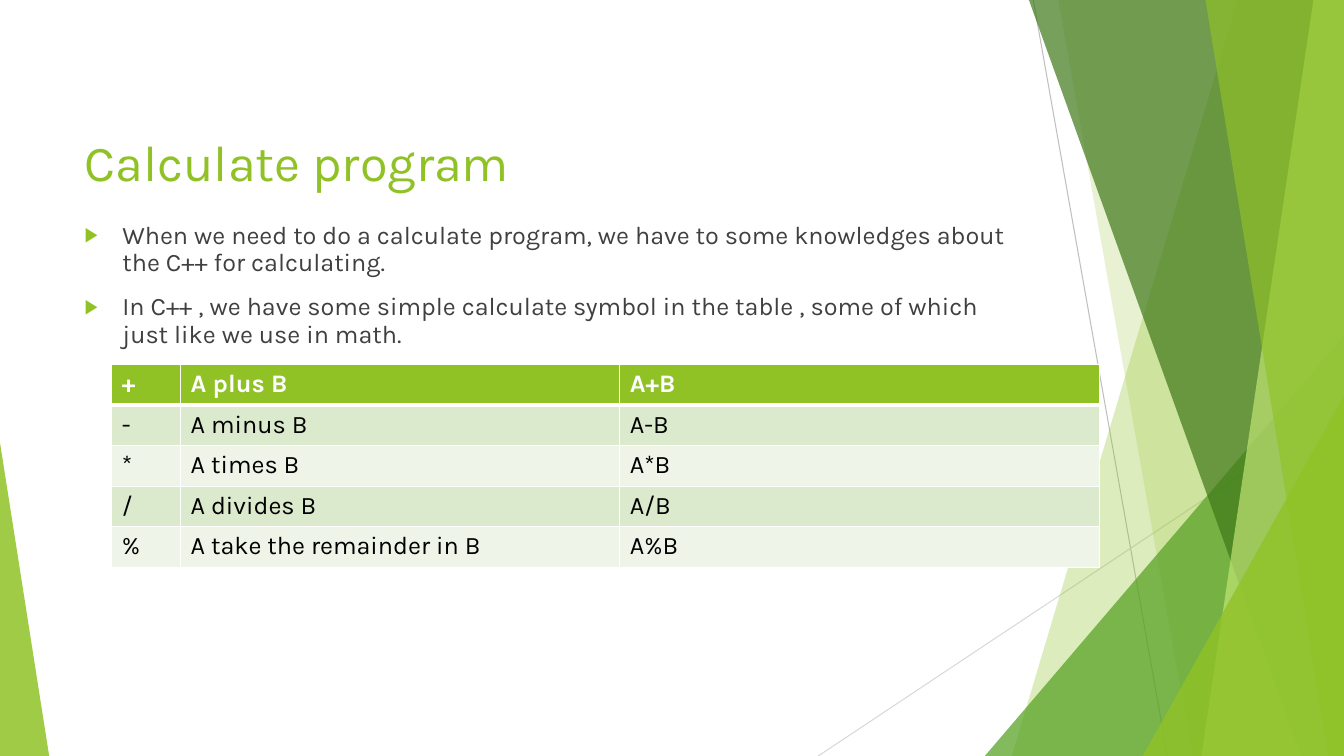
from lxml import etree
from pptx import Presentation
from pptx.dml.color import RGBColor
from pptx.enum.shapes import MSO_CONNECTOR as Connector, MSO_SHAPE as Shape
from pptx.enum.text import MSO_ANCHOR as Anchor, MSO_AUTO_SIZE as AutoSize, PP_ALIGN as Align
from pptx.oxml.ns import qn
from pptx.util import Cm, Pt

# Content
TITLE = "Calculate program"
POINTS = [
    "When we need to do a calculate program, we have to some knowledges about the C++ for calculating.",
    "In C++ , we have some simple calculate symbol in the table , some of which just like we use in math.",
]
OPERATORS = [
    ("+", "A plus B", "A+B"),
    ("-", "A minus B", "A-B"),
    ("*", "A times B", "A*B"),
    ("/", "A divides B", "A/B"),
    ("%", "A take the remainder in B", "A%B"),
]

# Look and measures in centimetres
FONT, GREEN, WHITE = "Karla", "90C226", "FFFFFF"
BANDS = ["EEF4E8", "DBE9CD"]
WIDTH, HEIGHT = 33.87, 19.05
COLUMNS, ROW = [1.73, 11.07, 12.09], 1.02

# Thin lines: start, end, colour
LINES = [
    ((26.04, 0), (29.42, HEIGHT), "BFBFBF"),
    ((WIDTH, 10.24), (20.62, HEIGHT), "D9D9D9"),
]
# Facets reach the right edge: kind, x at top and at foot (slab)
# or left and top (corner), colour, opacity in percent
FACETS = [
    ("slab", 31.19, 25.5, GREEN, 30),
    ("slab", 26.67, 30.05, GREEN, 20),
    ("corner", 24.82, 8.46, "54A021", 72),
    ("slab", 25.93, 32.79, "3F7819", 70),
    ("slab", 33.1, 30.28, "C0E474", 70),
    ("slab", 30.38, 33.48, GREEN, 65),
    ("corner", 28.8, 9.98, GREEN, 80),
]


def color(code):
    return RGBColor.from_string(code)


def add(parent, tag, **attributes):
    return etree.SubElement(parent, qn(tag), attributes)


def paint(shape, code, opacity):
    shape.shadow.inherit = False
    shape.fill.solid()
    shape.fill.fore_color.rgb = color(code)
    tint = shape.fill._xPr.find(".//" + qn("a:srgbClr"))
    add(tint, "a:alpha", val=str(opacity * 1000))
    shape.line.fill.background()


def style(para, size, code, bold=False):
    para.font.name, para.font.size, para.font.bold = FONT, Pt(size), bold
    para.font.color.rgb = color(code)


def triangle(left, top, width, apex, code, opacity):
    shape = page.shapes.add_shape(
        Shape.ISOSCELES_TRIANGLE, Cm(left), Cm(top), Cm(width), Cm(HEIGHT - top))
    shape.adjustments[0] = apex
    paint(shape, code, opacity)


def slab(top_x, foot_x, code, opacity):
    builder = page.shapes.build_freeform(Cm(top_x), 0)
    corners = [(WIDTH, 0), (WIDTH, HEIGHT), (foot_x, HEIGHT)]
    builder.add_line_segments([(Cm(x), Cm(y)) for x, y in corners])
    paint(builder.convert_to_shape(), code, opacity)


def place(box, top, height, anchor):
    box.left, box.top, box.width, box.height = Cm(1.88), Cm(top), Cm(23.88), Cm(height)
    frame = box.text_frame
    frame.word_wrap, frame.auto_size, frame.vertical_anchor = True, AutoSize.NONE, anchor
    box.element.getparent().append(box.element)  # in front of the facets
    return frame


deck = Presentation()
deck.slide_width, deck.slide_height = Cm(WIDTH), Cm(HEIGHT)
page = deck.slides.add_slide(deck.slide_layouts[1])

# Background lines and facets
for start, end, code in LINES:
    line = page.shapes.add_connector(
        Connector.STRAIGHT, *[Cm(value) for value in start + end])
    line.line.color.rgb, line.line.width = color(code), Pt(0.75)
    add(line.element.spPr, "a:effectLst")
for kind, first, second, code, opacity in FACETS:
    if kind == "slab":
        slab(first, second, code, opacity)
    else:
        triangle(first, second, WIDTH - first, 1, code, opacity)
triangle(0, 11.15, 1.24, 0, GREEN, 85)

# Title
frame = place(page.shapes.title, 3.07, 1.88, Anchor.BOTTOM)
frame.text = TITLE
frame.paragraphs[0].alignment = Align.LEFT
style(frame.paragraphs[0], 36, GREEN)

# Bulleted points
frame = place(page.placeholders[1], 5.49, 10.77, Anchor.TOP)
frame.text = "\n".join(POINTS)
for index, para in enumerate(frame.paragraphs):
    props = para._p.get_or_add_pPr()
    props.set("marL", str(Cm(0.95)))
    props.set("indent", str(-Cm(0.95)))
    add(add(props, "a:buClr"), "a:srgbClr", val=GREEN)
    add(props, "a:buSzPct", val="80000")
    add(props, "a:buChar", char="▶")
    para.line_spacing = 0.9
    para.space_before = Pt(12 if index else 0)
    style(para, 18, "404040")

# Operator table
table = page.shapes.add_table(
    len(OPERATORS), len(COLUMNS), Cm(2.82), Cm(9.19),
    Cm(sum(COLUMNS)), Cm(ROW * len(OPERATORS))).table
for column, width in zip(table.columns, COLUMNS):
    column.width = Cm(width)
for r, texts in enumerate(OPERATORS):
    table.rows[r].height = Cm(ROW)
    for c, text in enumerate(texts):
        cell = table.cell(r, c)
        props = cell._tc.get_or_add_tcPr()
        for side in "LRTB":
            heavy = (r == 0 and side == "B") or (r == 1 and side == "T")
            edge = add(props, "a:ln" + side, w=str(Pt(3 if heavy else 1)))
            add(add(edge, "a:solidFill"), "a:srgbClr", val=WHITE)
        cell.fill.solid()
        cell.fill.fore_color.rgb = color(BANDS[r % 2] if r else GREEN)
        cell.text = text
        style(cell.text_frame.paragraphs[0], 18, "000000" if r else WHITE, r == 0)

deck.save("out.pptx")
